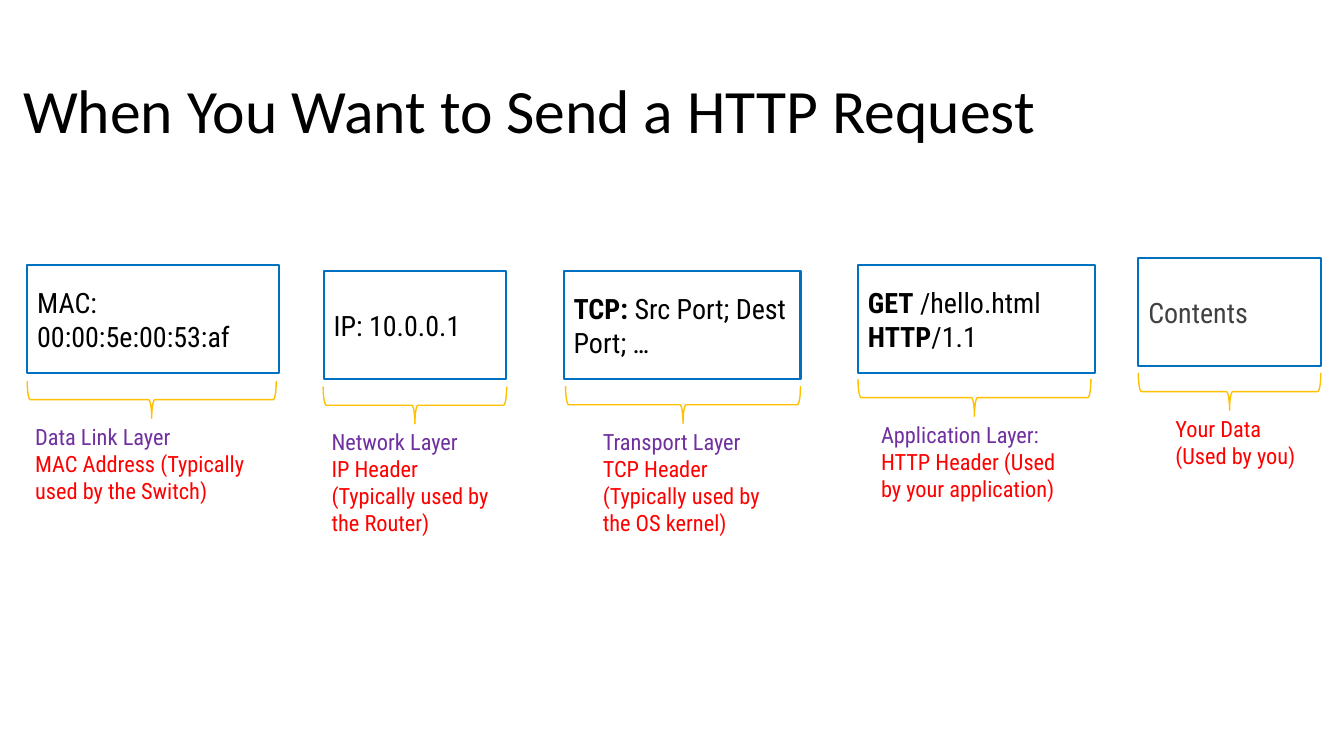
"""Build a slide that shows the layers of an HTTP request."""
import dataclasses

import pptx
import pptx.dml.color
import pptx.enum.shapes
import pptx.enum.text
import pptx.util

Inches = pptx.util.Inches
Kind = pptx.enum.shapes.MSO_SHAPE
Anchor = pptx.enum.text.MSO_ANCHOR
Align = pptx.enum.text.PP_ALIGN
Fit = pptx.enum.text.MSO_AUTO_SIZE


@dataclasses.dataclass(frozen=True)
class Theme:
    """Colours, fonts and type sizes of the slide."""
    ink: str = "000000"
    soft: str = "414141"
    edge: str = "0070C0"
    brace: str = "FFC000"
    layer: str = "7030A0"
    note: str = "FF0000"
    head: str = "Calibri"
    body: str = "Roboto Condensed"
    title: int = 44
    field: int = 20
    label: int = 16


THEME = Theme()
BOX_H = 1.07
BRACE_H = 0.37


@dataclasses.dataclass(frozen=True)
class Part:
    """One part of the request: its box, brace and label."""
    box: tuple
    runs: list
    brace: tuple
    label: tuple
    layer: str
    note: str
    tint: str = THEME.ink


PARTS = [
    Part((11.29, 2.56, 1.81), [("Contents", False)],
         (12.01, 2.98, 1.81), (11.56, 4.07, 1.54, 0.64),
         "", "Your Data (Used by you)", THEME.soft),
    Part((8.51, 2.63, 2.35),
         [("GET", True), (" /hello.html ", False),
          ("HTTP", True), ("/1.1", False)],
         (9.48, 2.79, 2.31), (8.64, 4.13, 2.08, 0.91),
         "Application Layer:", "HTTP Header (Used by your application)"),
    Part((5.59, 2.69, 2.35),
         [("TCP: ", True), ("Src Port; Dest Port; …", False)],
         (6.59, 2.85, 2.33), (5.88, 4.2, 1.98, 0.91),
         "Transport Layer", "TCP Header (Typically used by the OS kernel)"),
    Part((3.21, 2.69, 1.81), [("IP: 10.0.0.1", False)],
         (3.93, 3.11, 1.82), (3.19, 4.2, 1.76, 0.91),
         "Network Layer", "IP Header (Typically used by the Router)"),
    Part((0.27, 2.63, 2.5), [("MAC: 00:00:5e:00:53:af", False)],
         (1.32, 2.73, 2.47), (0.25, 4.15, 2.39, 0.91),
         "Data Link Layer", "MAC Address (Typically used by the Switch)"),
]


def paint(text):
    """Turn a hex string into a colour."""
    return pptx.dml.color.RGBColor.from_string(text)


def add_run(para, text, font, size, tint, bold=False):
    """Add one styled run to a paragraph."""
    run = para.add_run()
    run.text = text
    run.font.name = font
    run.font.size = pptx.util.Pt(size)
    run.font.color.rgb = paint(tint)
    run.font.bold = bold


def add_title(slide, text):
    """Place and fill the title."""
    title = slide.shapes.title
    title.left, title.top = Inches(0.13), Inches(0.4)
    title.width, title.height = Inches(12.28), Inches(1.45)
    frame = title.text_frame
    frame.vertical_anchor = Anchor.MIDDLE
    para = frame.paragraphs[0]
    para.alignment = Align.LEFT
    para.line_spacing = 0.9
    add_run(para, text, THEME.head, THEME.title, THEME.ink)


def add_shape(group, kind, place, tint, width):
    """Add an outlined shape with no fill."""
    shape = group.shapes.add_shape(kind, *map(Inches, place))
    shape.shadow.inherit = False
    shape.fill.background()
    shape.line.color.rgb = paint(tint)
    shape.line.width = pptx.util.Pt(width)
    return shape


def add_box(group, part):
    """Add the box that holds the field of a part."""
    box = add_shape(group, Kind.RECTANGLE, (*part.box, BOX_H), THEME.edge, 1.5)
    frame = box.text_frame
    frame.word_wrap = True
    frame.vertical_anchor = Anchor.MIDDLE
    para = frame.paragraphs[0]
    para.alignment = Align.LEFT
    for text, bold in part.runs:
        add_run(para, text, THEME.body, THEME.field, part.tint, bold)


def add_brace(group, part):
    """Add the brace that points down from a box."""
    left, top, span = part.brace
    place = (left, top, BRACE_H, span)
    brace = add_shape(group, Kind.LEFT_BRACE, place, THEME.brace, 1)
    brace.rotation = 270


def add_label(group, part):
    """Add the layer name and note below a brace."""
    frame = group.shapes.add_textbox(*map(Inches, part.label)).text_frame
    frame.word_wrap = True
    frame.auto_size = Fit.SHAPE_TO_FIT_TEXT
    para = frame.paragraphs[0]
    if part.layer:
        add_run(para, part.layer, THEME.body, THEME.label, THEME.layer)
        para = frame.add_paragraph()
    add_run(para, part.note, THEME.body, THEME.label, THEME.note)


def main():
    """Build and save the slide."""
    deck = pptx.Presentation()
    deck.slide_width, deck.slide_height = Inches(13.33), Inches(7.5)
    slide = deck.slides.add_slide(deck.slide_layouts[5])
    add_title(slide, "When You Want to Send a HTTP Request")
    for part in PARTS:
        group = slide.shapes.add_group_shape()
        add_box(group, part)
        add_brace(group, part)
        add_label(group, part)
    deck.save("out.pptx")


if __name__ == "__main__":
    main()
